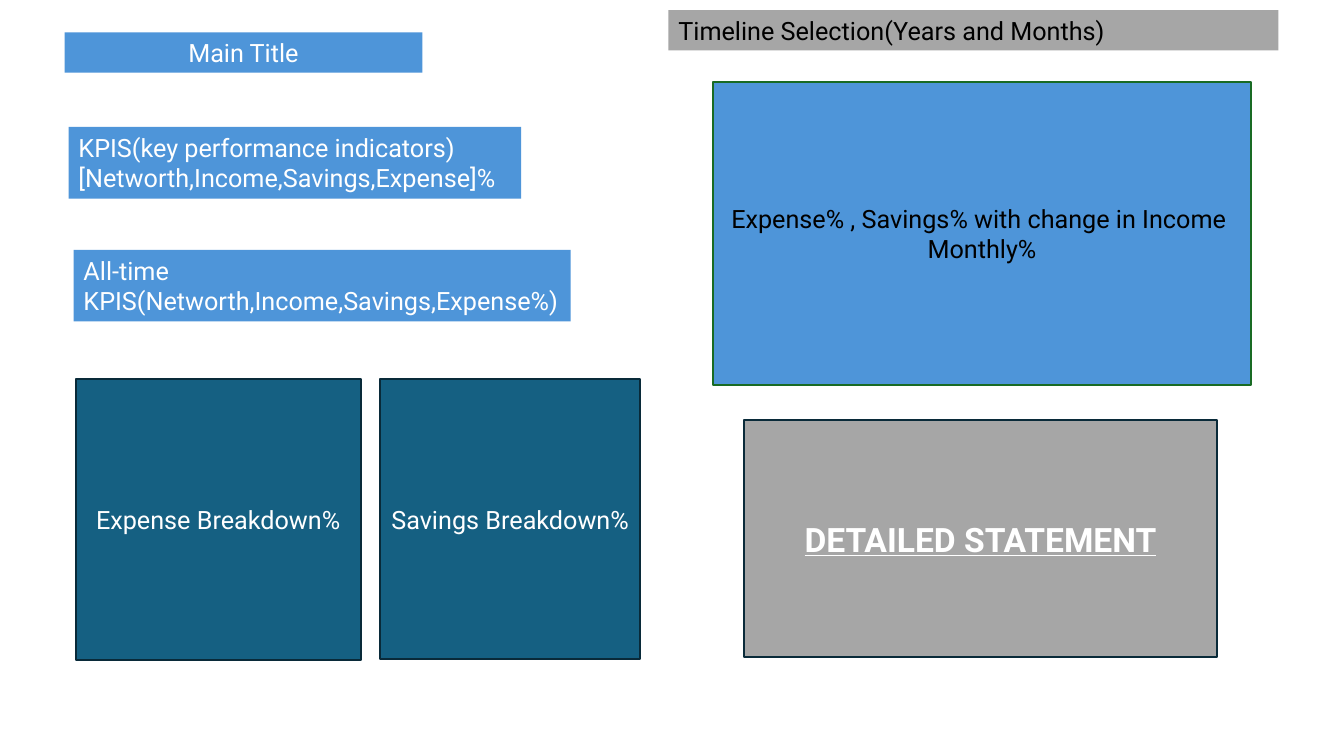
from dataclasses import dataclass
from typing import Optional

from pptx import Presentation
from pptx.dml.color import RGBColor
from pptx.enum.shapes import MSO_SHAPE as Preset
from pptx.enum.text import MSO_ANCHOR as Anchor, MSO_AUTO_SIZE as AutoSize, PP_ALIGN as Align
from pptx.util import Inches, Pt

FONT = "Roboto"
WHITE = RGBColor(0xFF, 0xFF, 0xFF)
BLACK = RGBColor(0x00, 0x00, 0x00)
BLUE = RGBColor(0x4E, 0x95, 0xD9)
TEAL = RGBColor(0x15, 0x60, 0x82)
GRAY = RGBColor(0xA6, 0xA6, 0xA6)
NAVY = RGBColor(0x09, 0x2A, 0x39)
GREEN = RGBColor(0x19, 0x6B, 0x24)


@dataclass(frozen=True)
class Block:
    lines: tuple[str, ...]
    left: float
    top: float
    width: float
    height: float
    fill: RGBColor
    border: Optional[RGBColor] = None
    color: RGBColor = WHITE
    size: int = 18
    heading: bool = False
    centered: bool = True


TITLE = Block(("Main Title",), 0.64, 0.32, 3.55, 0.4, BLUE)

BLOCKS = (
    # Indicator labels
    Block(("KPIS(key performance indicators)", "[Networth,Income,Savings,Expense]%"),
          0.68, 1.26, 4.49, 0.71, BLUE, centered=False),
    Block(("All-time KPIS(Networth,Income,Savings,Expense%)",),
          0.73, 2.48, 4.93, 0.71, BLUE, centered=False),
    # Breakdown panels
    Block(("Expense Breakdown%",), 0.75, 3.76, 2.83, 2.79, TEAL, NAVY),
    Block(("Savings Breakdown%",), 3.77, 3.76, 2.58, 2.78, TEAL, NAVY),
    # Monthly change, statement and timeline
    Block(("Expense% , Savings% with change in Income ", "Monthly%"),
          7.07, 0.81, 5.34, 3.01, BLUE, GREEN, BLACK),
    Block(("DETAILED STATEMENT",), 7.38, 4.17, 4.69, 2.35, GRAY, NAVY,
          size=24, heading=True),
    Block(("Timeline Selection(Years and Months)",),
          6.63, 0.1, 6.05, 0.4, GRAY, color=BLACK, centered=False),
)


def write_text(frame, lines: tuple[str, ...], *, size: int, color: RGBColor,
               heading: bool, align: Align, anchor: Anchor) -> None:
    frame.word_wrap = True
    frame.auto_size = AutoSize.NONE
    frame.vertical_anchor = anchor
    for index, line in enumerate(lines):
        para = frame.add_paragraph() if index else frame.paragraphs[0]
        para.alignment = align
        span = para.add_run()
        span.text = line
        span.font.name = FONT
        span.font.size = Pt(size)
        span.font.color.rgb = color
        span.font.bold = heading
        span.font.underline = heading


def format_block(box, block: Block) -> None:
    box.fill.solid()
    box.fill.fore_color.rgb = block.fill
    if block.border is None:
        box.line.fill.background()
    else:
        box.line.color.rgb = block.border
        box.line.width = Pt(1.5)
    write_text(box.text_frame, block.lines, size=block.size, color=block.color,
               heading=block.heading,
               align=Align.CENTER if block.centered else Align.LEFT,
               anchor=Anchor.MIDDLE if block.border else Anchor.TOP)


def add_block(page, block: Block) -> None:
    box = page.shapes.add_shape(Preset.RECTANGLE, Inches(block.left), Inches(block.top),
                                Inches(block.width), Inches(block.height))
    box.shadow.inherit = False
    format_block(box, block)


def place_title(page, block: Block) -> None:
    title = page.shapes.title
    title.left, title.top = Inches(block.left), Inches(block.top)
    title.width, title.height = Inches(block.width), Inches(block.height)
    format_block(title, block)


def main() -> None:
    deck = Presentation()
    deck.slide_width, deck.slide_height = Inches(13.33), Inches(7.5)
    page = deck.slides.add_slide(deck.slide_layouts.get_by_name("Title Only"))
    place_title(page, TITLE)
    for block in BLOCKS:
        add_block(page, block)
    deck.save("out.pptx")


if __name__ == "__main__":
    main()
